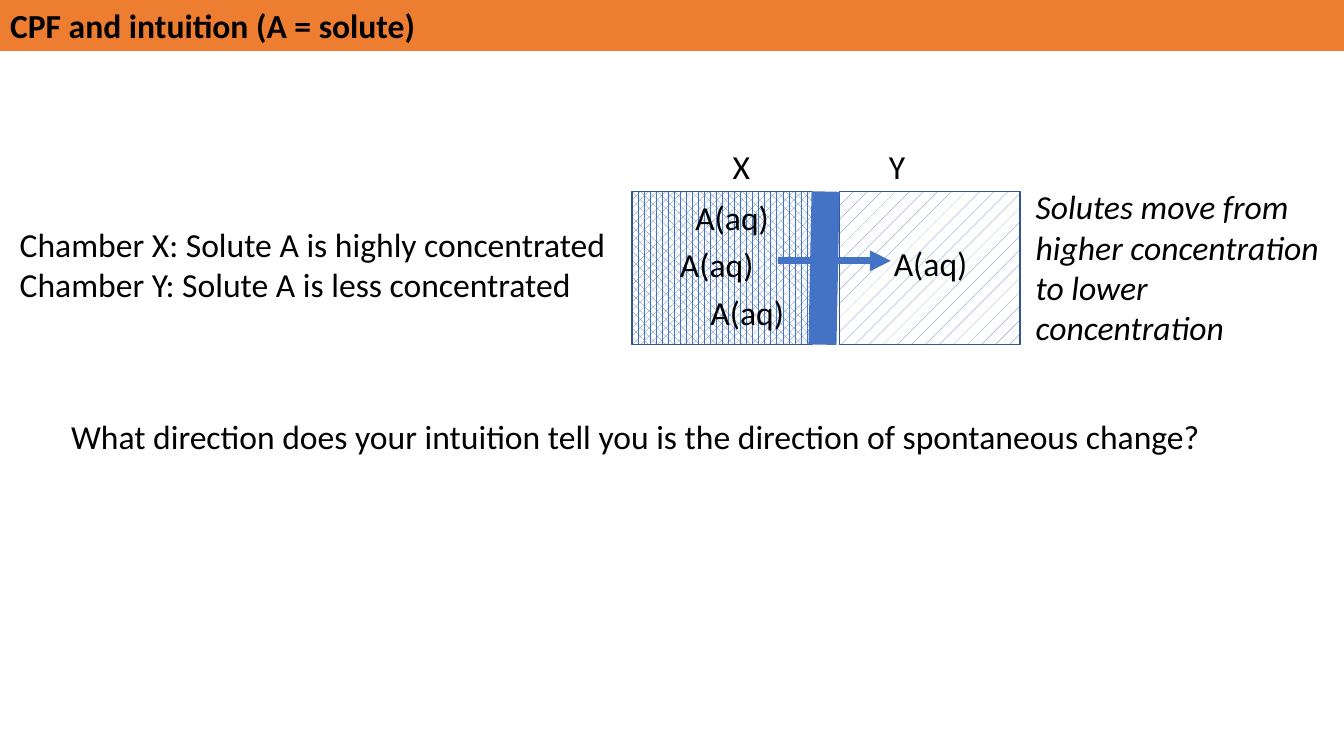
import lxml.etree
import pptx
import pptx.dml.color
import pptx.enum.dml
import pptx.enum.shapes
import pptx.enum.text
import pptx.oxml.ns
import pptx.util

Pt = pptx.util.Pt
qn = pptx.oxml.ns.qn
PATTERN = pptx.enum.dml.MSO_PATTERN
ANCHOR = pptx.enum.text.MSO_ANCHOR
BLUE, DARK_BLUE, ORANGE = "4472C4", "325491", "ED7D31"
CHAMBER_TOP, CHAMBER_WIDTH, CHAMBER_HEIGHT = 136.8, 128.9, 109.4
LINE_HEIGHT = 36.35


def colour(value):
    return pptx.dml.color.RGBColor.from_string(value)


def write_text(shape, lines, anchor=ANCHOR.TOP, **font_format):
    frame = shape.text_frame
    frame.word_wrap = True
    frame.auto_size = pptx.enum.text.MSO_AUTO_SIZE.NONE
    frame.vertical_anchor = anchor
    frame.text = "\n".join(lines)
    font_values = {"name": "Calibri", "size": Pt(24), **font_format}
    for paragraph in frame.paragraphs:
        paragraph.alignment = pptx.enum.text.PP_ALIGN.LEFT
        for name, value in font_values.items():
            setattr(paragraph.font, name, value)
        paragraph.font.color.rgb = colour("000000")


def add_title(slide, text):
    title = slide.shapes.title
    place = {"left": 0, "top": 0, "width": Pt(960), "height": Pt(LINE_HEIGHT)}
    for name, value in place.items():
        setattr(title, name, value)
    title.fill.solid()
    title.fill.fore_color.rgb = colour(ORANGE)
    write_text(title, [text], ANCHOR.MIDDLE, bold=True)


def add_label(slide, left, top, width, lines, height=LINE_HEIGHT, **font_format):
    box = slide.shapes.add_textbox(Pt(left), Pt(top), Pt(width), Pt(height))
    write_text(box, lines, **font_format)


def add_chamber(slide, left, pattern):
    chamber = slide.shapes.add_shape(
        pptx.enum.shapes.MSO_SHAPE.RECTANGLE,
        Pt(left), Pt(CHAMBER_TOP), Pt(CHAMBER_WIDTH), Pt(CHAMBER_HEIGHT))
    chamber.shadow.inherit = False
    chamber.fill.patterned()
    chamber.fill.pattern = pattern
    chamber.fill.fore_color.rgb = colour(BLUE)
    chamber.fill.back_color.rgb = colour("FFFFFF")
    chamber.line.color.rgb = colour(DARK_BLUE)
    chamber.line.width = Pt(1)


def add_line(slide, start, end, width, arrow=False):
    line = slide.shapes.add_connector(
        pptx.enum.shapes.MSO_CONNECTOR.STRAIGHT, *map(Pt, start + end))
    line.line.color.rgb = colour(BLUE)
    line.line.width = Pt(width)
    if arrow:
        lxml.etree.SubElement(line.line._get_or_add_ln(), qn("a:tailEnd"), type="triangle")
    lxml.etree.SubElement(line._element.spPr, qn("a:effectLst"))


def main():
    presentation = pptx.Presentation()
    presentation.slide_width, presentation.slide_height = Pt(960), Pt(540)
    slide = presentation.slides.add_slide(presentation.slide_layouts[5])
    add_title(slide, "CPF and intuition (A = solute)")

    add_label(slide, 7, 156.2, 440, [
        "Chamber X: Solute A is highly concentrated",
        "Chamber Y: Solute A is less concentrated"], height=65.4)

    add_chamber(slide, 599.8, PATTERN.PERCENT_5)
    add_chamber(slide, 451.4, PATTERN.PERCENT_60)
    add_line(slide, (589.7, CHAMBER_TOP), (587.5, CHAMBER_TOP + CHAMBER_HEIGHT), 20)
    for name, left in (("X", 516.2), ("Y", 627.8)):
        add_label(slide, left, 100.4, 52.6, [name])
    for left, top in ((489.6, 136.8), (631.4, 170.2), (500.4, 204.8), (478.6, 170.6)):
        add_label(slide, left, top, 86.4, ["A(aq)"])

    add_label(slide, 43.7, 293.8, 848, [
        "What direction does your intuition tell you is the direction of spontaneous change?"])
    add_line(slide, (555.8, 186.3), (636.3, 186.3), 5, arrow=True)
    add_label(slide, 732.7, 129.6, 227.3, [
        "Solutes move from higher concentration to lower concentration"],
        height=123.6, italic=True)
    presentation.save("out.pptx")


if __name__ == "__main__":
    main()
